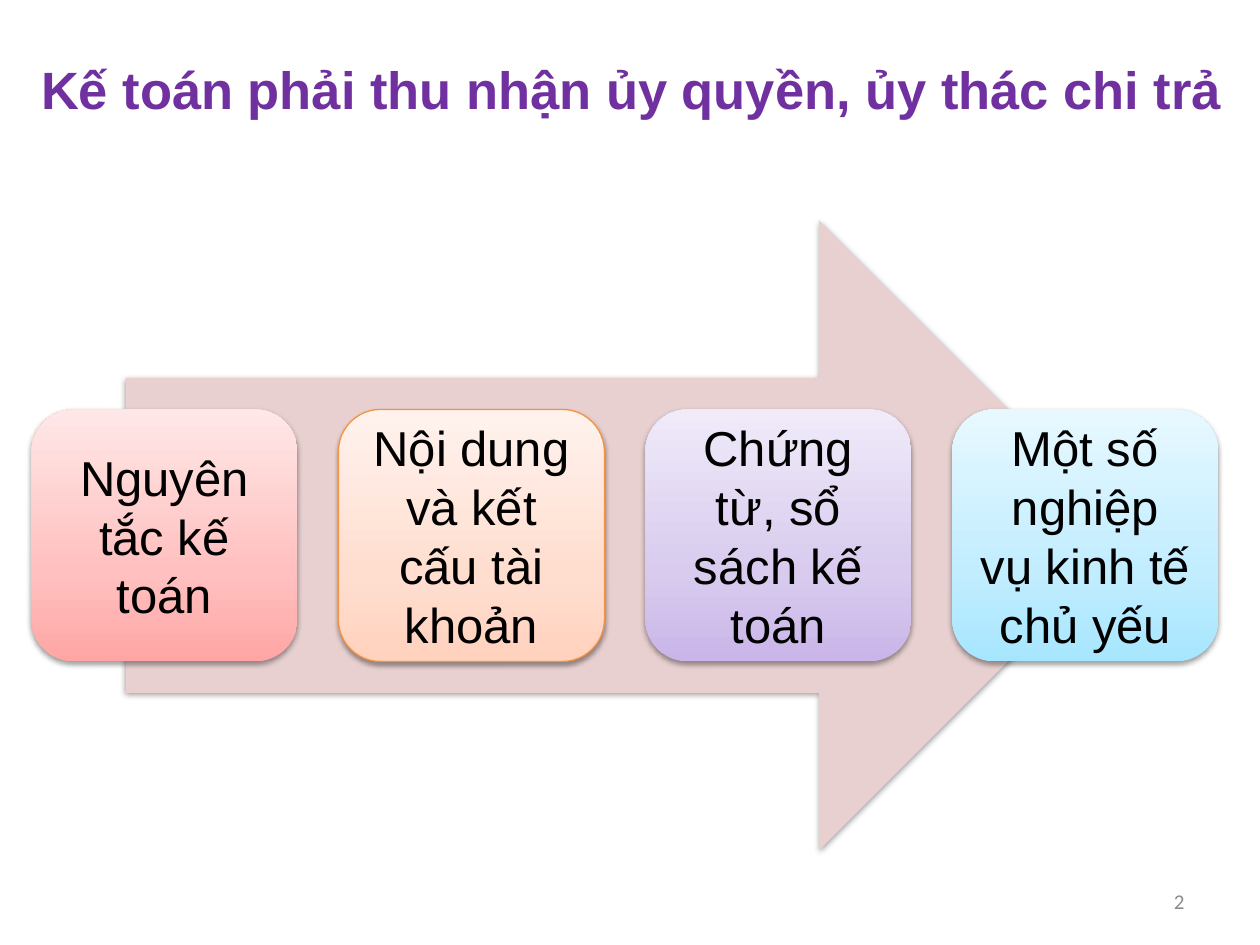
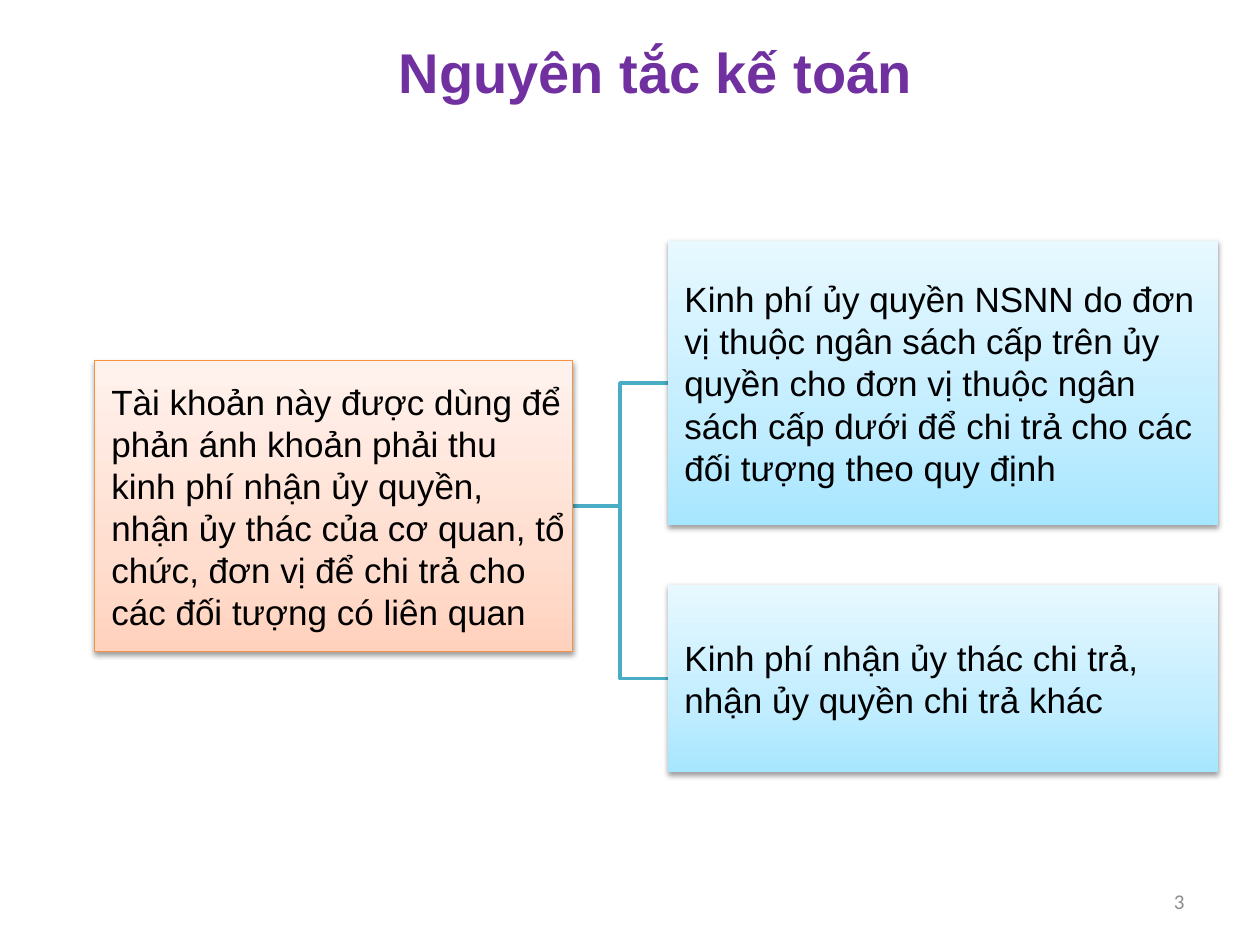
import pptx
import pptx.util
import pptx.dml.color
import pptx.enum.shapes
import pptx.enum.text
import pptx.oxml
import pptx.oxml.ns

Pt = pptx.util.Pt
RGB = pptx.dml.color.RGBColor.from_string
SHAPE = pptx.enum.shapes.MSO_SHAPE
ALIGN = pptx.enum.text.PP_ALIGN
ANCHOR = pptx.enum.text.MSO_ANCHOR
NS = pptx.oxml.ns.nsdecls("a")

COLORS = {
    "title": "7030A0", "text": "000000", "number": "8C8C8C",
    "arrow": "E8D0D0", "orange_line": "F69240", "branch": "4BACC6",
}
# Gradient stops from bottom to top
GRADIENTS = {
    "red": ("FFA6A5", "FFC0BF", "FFE7E7"),
    "orange": ("FFD2BD", "FFDED0", "FFF2ED"),
    "purple": ("C9B5E8", "D8CBEE", "F0EAF9"),
    "blue": ("A7E6FF", "C1EDFF", "E7F8FF"),
}
STOPS = (0, 35000, 100000)


def write_text(tf, text, size=20, font="Arial", color="text", bold=False,
               align=ALIGN.LEFT, anchor=ANCHOR.MIDDLE, insets=(7.2, 3.6, 7.2, 3.6)):
    tf.word_wrap = True
    tf.auto_size = pptx.enum.text.MSO_AUTO_SIZE.NONE
    tf.vertical_anchor = anchor
    tf.margin_left, tf.margin_top, tf.margin_right, tf.margin_bottom = map(Pt, insets)
    p = tf.paragraphs[0]
    p.alignment = align
    r = p.add_run()
    r.text = text
    r.font.name, r.font.size, r.font.bold = font, Pt(size), bold
    r.font.color.rgb = RGB(COLORS[color])


def add_block(slide, kind, box, fill):
    sp = slide.shapes.add_shape(kind, *map(Pt, box))
    if fill in GRADIENTS:
        sp.fill.gradient()
        sp.fill.gradient_angle = 90
        stops = "".join(f'<a:gs pos="{pos}"><a:srgbClr val="{color}"/></a:gs>'
                        for pos, color in zip(STOPS, GRADIENTS[fill]))
        old = sp.element.spPr.find(".//" + pptx.oxml.ns.qn("a:gsLst"))
        old.getparent().replace(old, pptx.oxml.parse_xml(f"<a:gsLst {NS}>{stops}</a:gsLst>"))
    else:
        sp.fill.solid()
        sp.fill.fore_color.rgb = RGB(COLORS[fill])
    if fill == "orange":
        sp.line.color.rgb = RGB(COLORS["orange_line"])
        sp.line.width = Pt(0.75)
    else:
        sp.line.fill.background()
    # Soft shadow straight below
    sp.shadow.inherit = False
    sp.element.spPr.find(pptx.oxml.ns.qn("a:effectLst")).append(pptx.oxml.parse_xml(
        f'<a:outerShdw {NS} blurRad="{Pt(3.1)}" dist="{Pt(1.6)}" dir="5400000" rotWithShape="0">'
        '<a:srgbClr val="000000"><a:alpha val="38000"/></a:srgbClr></a:outerShdw>'))
    return sp


prs = pptx.Presentation()
prs.slide_width, prs.slide_height = Pt(720), Pt(540)

# Titles and slide numbers
titles = [
    ("Kế toán phải thu nhận ủy quyền, ủy thác chi trả", 30, (0, 10.8, 722, 61.2)),
    ("Nguyên tắc kế toán", 32, (37.4, 0, 674.6, 63.4)),
]
for number, (text, size, box) in enumerate(titles, start=2):
    slide = prs.slides.add_slide(prs.slide_layouts[5])
    title = slide.shapes.title
    title.left, title.top, title.width, title.height = map(Pt, box)
    write_text(title.text_frame, text, size=size, color="title", bold=True,
               align=ALIGN.CENTER, anchor=ANCHOR.BOTTOM)
    tb = slide.shapes.add_textbox(Pt(516), Pt(500.5), Pt(168), Pt(28.8))
    write_text(tb.text_frame, str(number), size=12, font="Calibri", color="number",
               align=ALIGN.RIGHT)
overview, principles = prs.slides

# Overview: four topics along an arrow
add_block(overview, SHAPE.RIGHT_ARROW, (72, 126, 576, 360), "arrow")
topics = [
    ("Nguyên tắc kế toán", "red"),
    ("Nội dung và kết cấu tài khoản", "orange"),
    ("Chứng từ, sổ sách kế toán", "purple"),
    ("Một số nghiệp vụ kinh tế chủ yếu", "blue"),
]
for i, (text, fill) in enumerate(topics):
    sp = add_block(overview, SHAPE.ROUNDED_RECTANGLE, (18 + i * 175.4, 234, 152, 144), fill)
    write_text(sp.text_frame, text, size=28, align=ALIGN.CENTER, insets=(8.4,) * 4)

# Principles: the account and the two kinds of funding
account = (54, 206, 273, 166.5)
fundings = [
    ("Kinh phí ủy quyền NSNN do đơn vị thuộc ngân sách cấp trên ủy quyền cho đơn vị "
     "thuộc ngân sách cấp dưới để chi trả cho các đối tượng theo quy định",
     (381.5, 137.5, 314.5, 162.7)),
    ("Kinh phí nhận ủy thác chi trả, nhận ủy quyền chi trả khác",
     (381.5, 334, 314.5, 107.3)),
]
start_x, start_y = account[0] + account[2], account[1] + account[3] / 2

# Branch lines, behind the boxes
for _, (left, top, width, height) in fundings:
    mid_x, end_y = (start_x + left) / 2, top + height / 2
    fb = principles.shapes.build_freeform(Pt(start_x), Pt(start_y))
    fb.add_line_segments([(Pt(mid_x), Pt(start_y)), (Pt(mid_x), Pt(end_y)),
                          (Pt(left), Pt(end_y))], close=False)
    sp = fb.convert_to_shape()
    sp.fill.background()
    sp.line.color.rgb = RGB(COLORS["branch"])
    sp.line.width = Pt(2)
    sp.shadow.inherit = False

# Boxes
boxes = [
    ("Tài khoản này được dùng để phản ánh khoản phải thu kinh phí nhận ủy quyền, nhận ủy "
     "thác của cơ quan, tổ chức, đơn vị để chi trả cho các đối tượng có liên quan",
     account, "orange"),
] + [(text, box, "blue") for text, box in fundings]
for text, box, fill in boxes:
    sp = add_block(principles, SHAPE.RECTANGLE, box, fill)
    write_text(sp.text_frame, text, insets=(9.6, 0.9, 0.9, 0.9))

prs.save("out.pptx")
